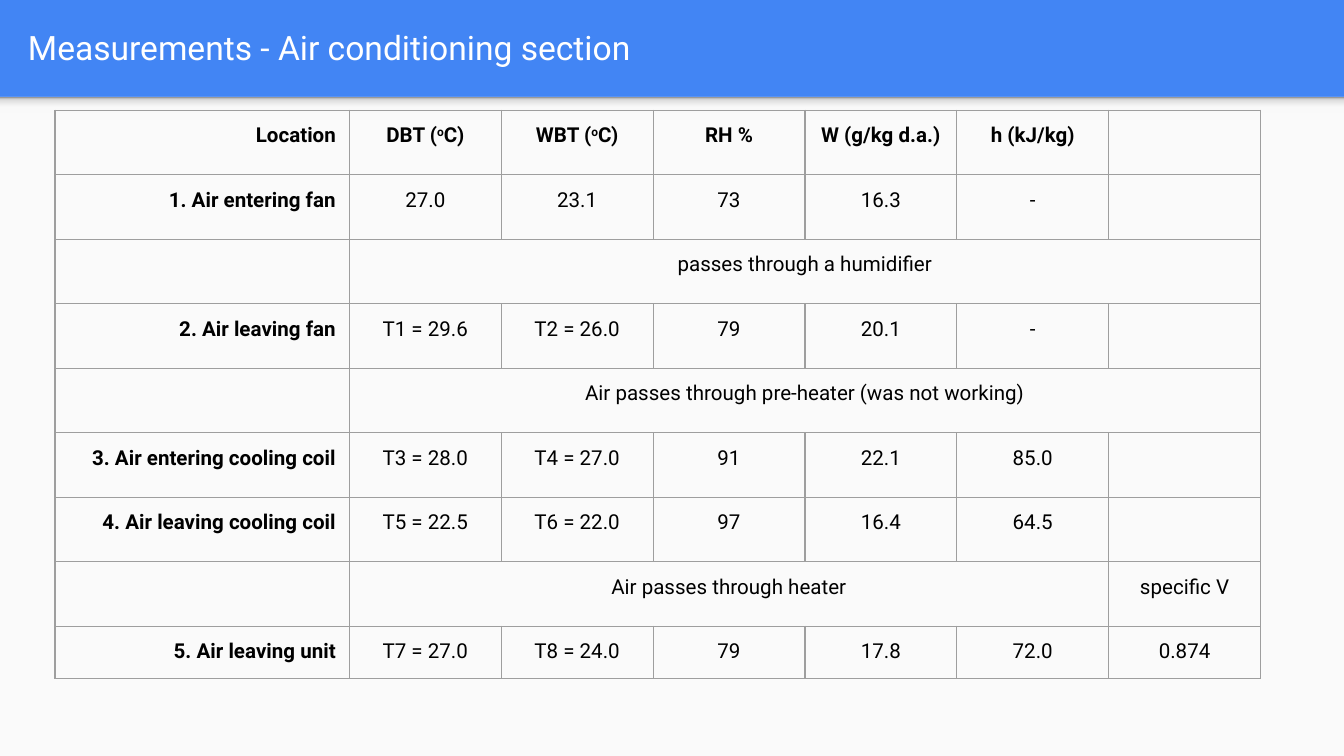
from dataclasses import dataclass

from lxml import etree
from pptx import Presentation
from pptx import util as u
from pptx.dml.color import RGBColor
from pptx.enum import shapes, text
from pptx.oxml import ns


@dataclass(frozen=True)
class Theme:
    font: str = "Roboto"
    title_size: int = 18
    cell_size: int = 11
    header: str = "4285F4"
    body: str = "FAFAFA"
    title: str = "FFFFFF"
    ink: str = "000000"
    border: str = "9E9E9E"
    border_width: float = 0.75
    shade: tuple = ((0, "F9F9F9"), (36, "F9F9F9"), (80, "DEDEDE"), (100, "999999"))


THEME = Theme()
SLIDE_WIDTH = u.Inches(10)
SLIDE_HEIGHT = SLIDE_WIDTH * 9 // 16
BODY_TOP = u.Inches(0.72)
INSET = u.Inches(0.1)
COLUMN_WIDTHS = [2.19] + [1.13] * 6
ROW_HEIGHTS = [0.48] * 8 + [0.39]
SPAN = None  # the cell to the left extends over this one

# Text between carets is superscript.
MEASUREMENTS = [
    ["Location", "DBT (^o^C)", "WBT (^o^C)", "RH %", "W (g/kg d.a.)", "h (kJ/kg)", ""],
    ["1. Air entering fan", "27.0", "23.1", "73", "16.3", "-", ""],
    ["", "passes through a humidifier", SPAN, SPAN, SPAN, SPAN, SPAN],
    ["2. Air leaving fan", "T1 = 29.6", "T2 = 26.0", "79", "20.1", "-", ""],
    ["", "Air passes through pre-heater (was not working)", SPAN, SPAN, SPAN, SPAN, SPAN],
    ["3. Air entering cooling coil", "T3 = 28.0", "T4 = 27.0", "91", "22.1", "85.0", ""],
    ["4. Air leaving cooling coil", "T5 = 22.5", "T6 = 22.0", "97", "16.4", "64.5", ""],
    ["", "Air passes through heater", SPAN, SPAN, SPAN, SPAN, "specific V"],
    ["5. Air leaving unit", "T7 = 27.0", "T8 = 24.0", "79", "17.8", "72.0", "0.874"],
]


def style_run(run, size, color, bold=False):
    run.font.name = THEME.font
    run.font.size = u.Pt(size)
    run.font.bold = bold
    run.font.color.rgb = RGBColor.from_string(color)


def set_insets(frame):
    frame.margin_left = frame.margin_right = INSET
    frame.margin_top = frame.margin_bottom = INSET


def add_color(parent, color):
    etree.SubElement(parent, ns.qn("a:srgbClr"), val=color)


def add_band(slide, height):
    """Add a borderless rectangle across the slide, below the header."""
    band = slide.shapes.add_shape(
        shapes.MSO_SHAPE.RECTANGLE, 0, BODY_TOP, SLIDE_WIDTH, height)
    band.shadow.inherit = False
    band.line.fill.background()
    return band


def shade_upwards(band):
    """Fill with the theme's gradient, its first stop at the bottom."""
    band.fill.gradient()
    band.fill.gradient_angle = 90
    stops = band._element.spPr.find(".//" + ns.qn("a:gsLst"))
    for stop in list(stops):
        stops.remove(stop)
    for percent, color in THEME.shade:
        add_color(etree.SubElement(stops, ns.qn("a:gs"), pos=str(percent * 1000)), color)


def add_title(slide, words):
    box = slide.shapes.add_textbox(
        u.Inches(0.11), u.Inches(0.02), u.Inches(9.65), u.Inches(0.66))
    frame = box.text_frame
    frame.word_wrap = True
    frame.vertical_anchor = text.MSO_ANCHOR.MIDDLE
    set_insets(frame)
    frame.text = words
    style_run(frame.paragraphs[0].runs[0], THEME.title_size, THEME.title)


def set_borders(cell):
    properties = cell._tc.get_or_add_tcPr()
    for index, side in enumerate(("lnL", "lnR", "lnT", "lnB")):
        line = etree.Element(ns.qn("a:" + side), w=str(u.Pt(THEME.border_width)))
        add_color(etree.SubElement(line, ns.qn("a:solidFill")), THEME.border)
        properties.insert(index, line)


def fill_cell(cell, words, bold, alignment):
    set_insets(cell)
    para = cell.text_frame.paragraphs[0]
    para.alignment = alignment
    for index, part in enumerate(words.split("^")):
        run = para.add_run()
        run.text = part
        style_run(run, THEME.cell_size, THEME.ink, bold)
        if index % 2:
            run.font._element.set("baseline", "30000")


def merge_spans(table, row, values):
    start = 0
    for column in range(1, len(values) + 1):
        if column == len(values) or values[column] is not SPAN:
            if column - start > 1:
                table.cell(row, start).merge(table.cell(row, column - 1))
            start = column


def add_measurements(slide):
    table = slide.shapes.add_table(
        len(ROW_HEIGHTS), len(COLUMN_WIDTHS), u.Inches(0.41), u.Inches(0.82),
        u.Inches(sum(COLUMN_WIDTHS)), u.Inches(sum(ROW_HEIGHTS))).table
    table.first_row = table.horz_banding = False
    for column, width in zip(table.columns, COLUMN_WIDTHS):
        column.width = u.Inches(width)
    for row, height in zip(table.rows, ROW_HEIGHTS):
        row.height = u.Inches(height)
    for row, values in enumerate(MEASUREMENTS):
        for column, words in enumerate(values):
            cell = table.cell(row, column)
            cell.fill.background()
            set_borders(cell)
            if words:
                alignment = text.PP_ALIGN.CENTER if column else text.PP_ALIGN.RIGHT
                fill_cell(cell, words, row == 0 or column == 0, alignment)
        merge_spans(table, row, values)


def main():
    deck = Presentation()
    deck.slide_width, deck.slide_height = SLIDE_WIDTH, SLIDE_HEIGHT
    slide = deck.slides.add_slide(deck.slide_layouts[6])
    slide.background.fill.solid()
    slide.background.fill.fore_color.rgb = RGBColor.from_string(THEME.header)

    body = add_band(slide, SLIDE_HEIGHT - BODY_TOP)
    body.fill.solid()
    body.fill.fore_color.rgb = RGBColor.from_string(THEME.body)
    shade_upwards(add_band(slide, u.Inches(0.12)))
    add_title(slide, "Measurements - Air conditioning section")
    add_measurements(slide)
    deck.save("out.pptx")


if __name__ == "__main__":
    main()
